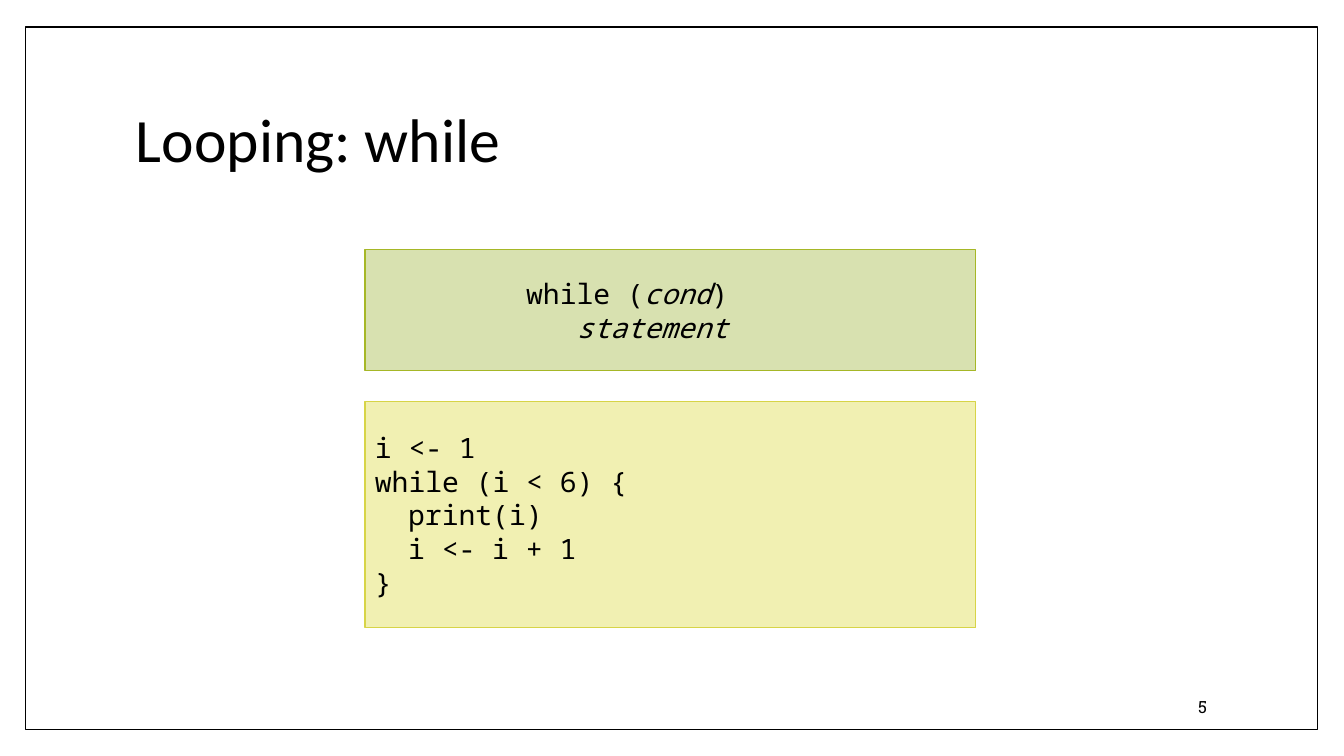
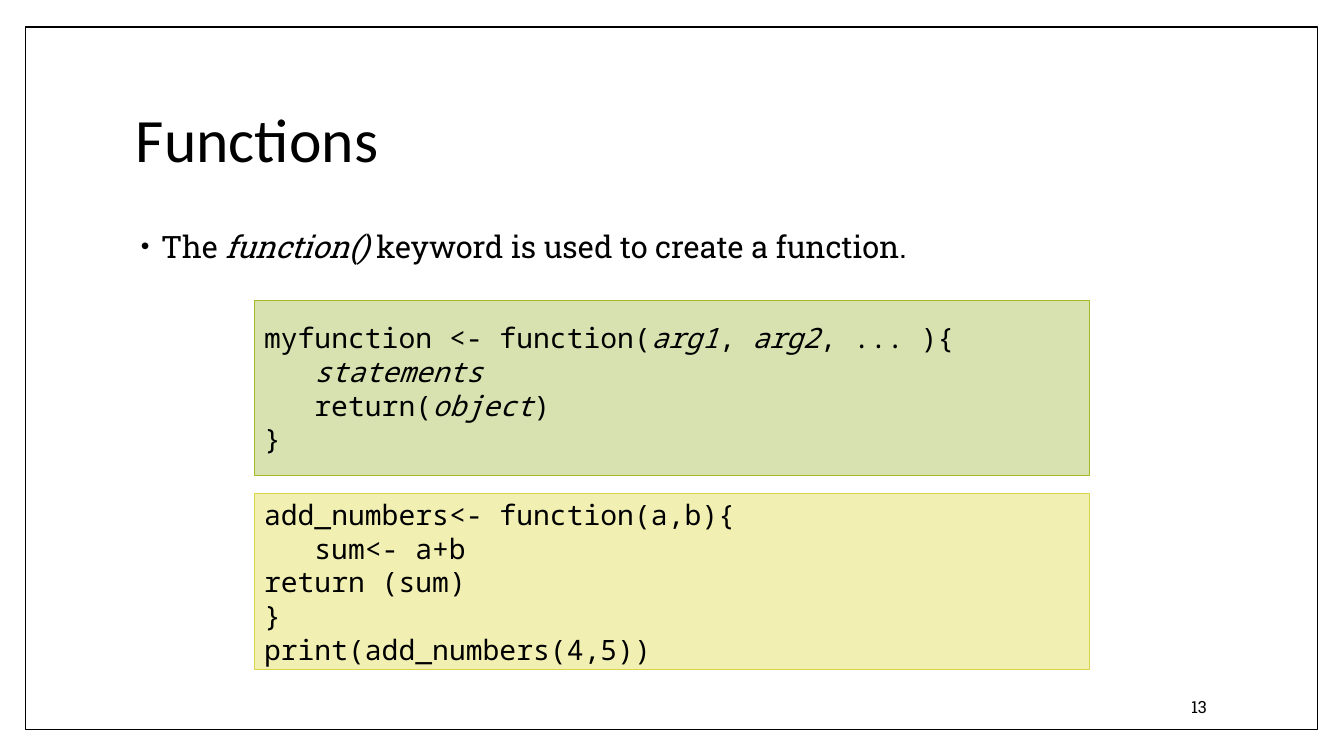
"""Build two slides on looping and functions in R."""
from lxml.etree import SubElement
from pptx import Presentation
from pptx.dml.color import RGBColor
from pptx.enum.shapes import MSO_SHAPE as SHAPE
from pptx.enum.text import MSO_ANCHOR as ANCHOR, PP_ALIGN as ALIGN
from pptx.oxml.ns import qn
from pptx.util import Pt

PX = 9144
BLACK = RGBColor(0x00, 0x00, 0x00)
WHITE = RGBColor(0xFF, 0xFF, 0xFF)
GREEN, GREEN_LINE = RGBColor(0xD8, 0xE1, 0xB0), RGBColor(0xA6, 0xB7, 0x27)
YELLOW, YELLOW_LINE = RGBColor(0xF1, 0xF0, 0xB2), RGBColor(0xD7, 0xD4, 0x47)
SYNTAX, EXAMPLE = (GREEN, GREEN_LINE), (YELLOW, YELLOW_LINE)
TITLE_FONT, BODY_FONT, CODE_FONT = "Calibri", "Roboto Slab", "Noto Sans Mono"


class Deck:
    def __init__(self):
        self.prs = Presentation()
        self.prs.slide_width, self.prs.slide_height = 1333 * PX, 750 * PX
        self.s = None

    def slide(self, title, number):
        self.s = self.prs.slides.add_slide(self.prs.slide_layouts[6])
        self.rect((25, 27, 1282, 697), WHITE, BLACK, 1)
        p = self.text((125, 67, 1080, 148), title, TITLE_FONT, 44)
        p.line_spacing = 0.9
        p = self.text((1020, 681, 187, 40), number, BODY_FONT, 12)
        p.alignment = ALIGN.RIGHT

    def rect(self, box, fill, line, width):
        sp = self.s.shapes.add_shape(SHAPE.RECTANGLE, *(v * PX for v in box))
        sp.shadow.inherit = False
        sp.fill.solid()
        sp.fill.fore_color.rgb = fill
        sp.line.color.rgb = line
        sp.line.width = Pt(width)
        return sp

    def runs(self, p, text, font, size):
        for i, part in enumerate(text.split("*")):
            if part:
                r = p.add_run()
                r.text = part
                r.font.name, r.font.size = font, Pt(size)
                r.font.color.rgb = BLACK
                r.font.italic = i % 2 == 1

    def indent(self, p, left, first=0):
        pPr = p._p.get_or_add_pPr()
        pPr.set("marL", str(left * PX))
        pPr.set("indent", str(first * PX))
        return pPr

    def text(self, box, text, font, size, anchor=ANCHOR.MIDDLE):
        tf = self.s.shapes.add_textbox(*(v * PX for v in box)).text_frame
        tf.word_wrap = True
        tf.vertical_anchor = anchor
        p = tf.paragraphs[0]
        self.runs(p, text, font, size)
        return p

    def bullet(self, box, text):
        p = self.text(box, text, BODY_FONT, 22, ANCHOR.TOP)
        p.line_spacing = 0.9
        pPr = self.indent(p, 25, -20)
        color = SubElement(pPr, qn("a:buClr"))
        SubElement(color, qn("a:srgbClr"), val=str(BLACK))
        SubElement(pPr, qn("a:buSzPct"), val="80000")
        SubElement(pPr, qn("a:buFont"), typeface="Arial")
        SubElement(pPr, qn("a:buChar"), char="•")

    def code(self, box, style, lines):
        tf = self.rect(box, *style, 0.79).text_frame
        tf.word_wrap = True
        tf.vertical_anchor = ANCHOR.MIDDLE
        for i, (left, text) in enumerate(lines):
            p = tf.add_paragraph() if i else tf.paragraphs[0]
            p.alignment = ALIGN.LEFT
            self.indent(p, left)
            self.runs(p, text, CODE_FONT, 20)


def main():
    deck = Deck()

    deck.slide("Looping: while", "5")
    deck.code((362, 248, 606, 120), SYNTAX, [
        (150, "while (*cond*)"),
        (200, "*statement*"),
    ])
    deck.code((362, 398, 606, 225), EXAMPLE, [
        (0, "i <- 1"),
        (0, "while (i < 6) {"),
        (33, "print(i)"),
        (33, "i <- i + 1"),
        (0, "}"),
    ])

    deck.slide("Functions", "13")
    deck.bullet((125, 225, 1080, 60),
                "The *function()* keyword is used to create a function.")
    deck.code((252, 298, 829, 174), SYNTAX, [
        (0, "myfunction <- function(*arg1*, *arg2*, ... ){"),
        (50, "*statements*"),
        (50, "return(*object*)"),
        (0, "}"),
    ])
    deck.code((252, 490, 829, 174), EXAMPLE, [
        (0, "add_numbers<- function(a,b){"),
        (50, "sum<- a+b"),
        (0, "return (sum)"),
        (0, "}"),
        (0, "print(add_numbers(4,5))"),
    ])

    deck.prs.save("out.pptx")


if __name__ == "__main__":
    main()
